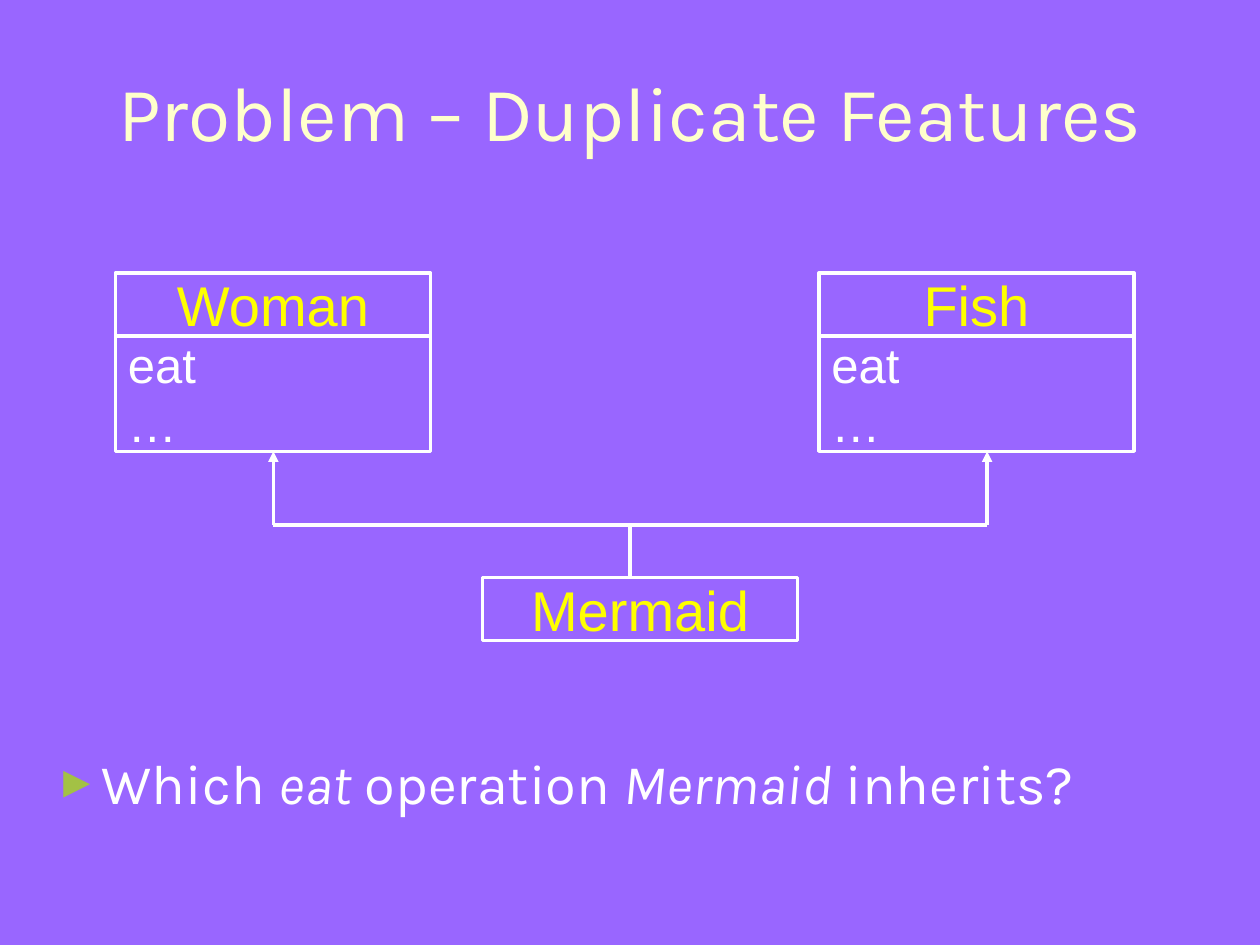
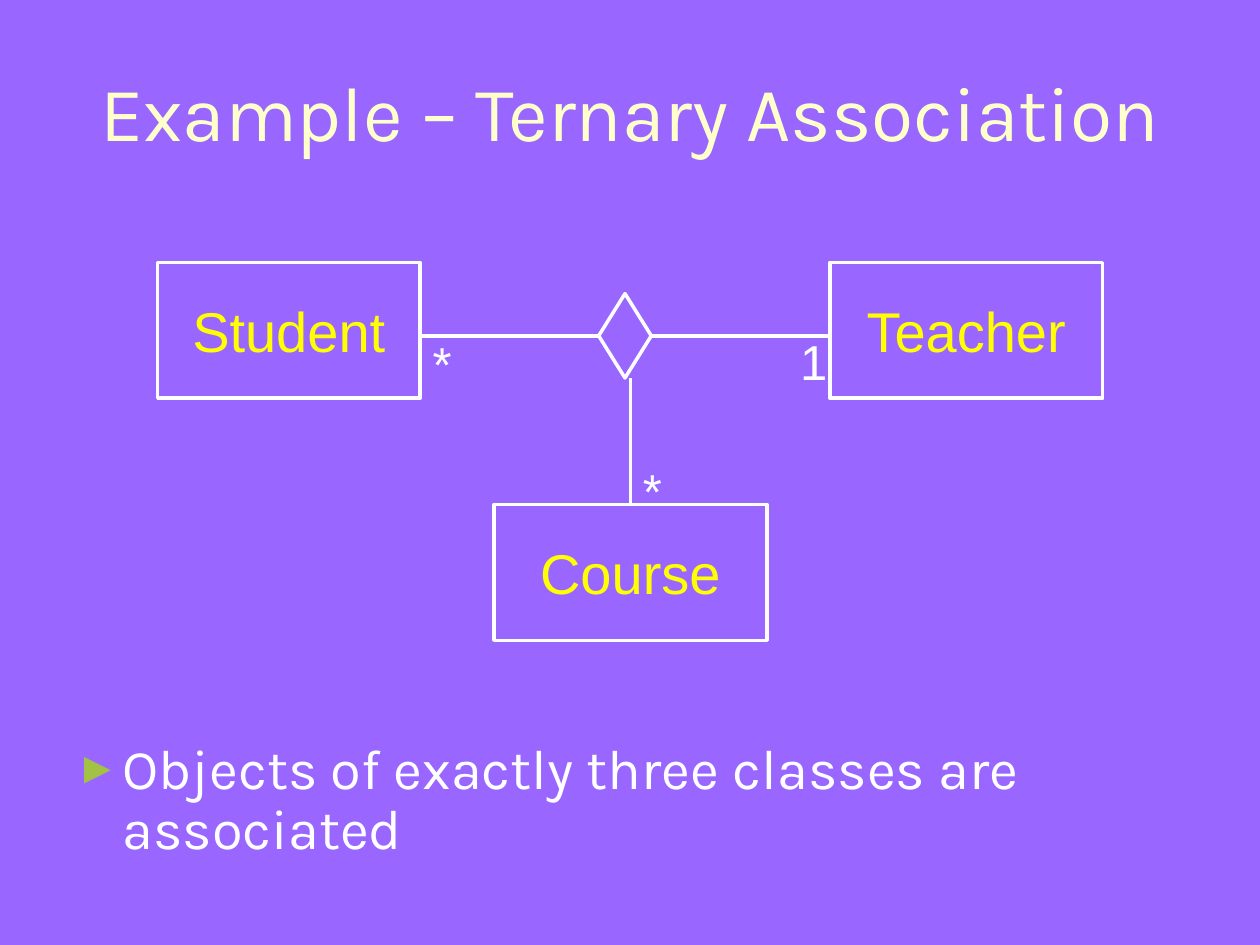
from lxml import etree
from pptx import Presentation
from pptx.dml.color import RGBColor
from pptx.enum.shapes import MSO_CONNECTOR, MSO_SHAPE
from pptx.enum.text import MSO_ANCHOR, MSO_AUTO_SIZE, PP_ALIGN
from pptx.oxml.ns import qn
from pptx.util import Cm, Pt

HUE = {"back": "9966FF", "title": "FFFFCC", "name": "FFFF00",
       "text": "FFFFFF", "line": "FFFFFF", "mark": "A3C145"}
HEAD, BODY = "Karla", "Arial"
TITLE_BOX = (0.85, 0.64, 23.72, 3.18)


def paint(hue):
    return RGBColor.from_string(HUE[hue])


def add_run(para, text, size, hue, font=BODY, slant=False):
    run = para.add_run()
    run.text = text
    run.font.name = font
    run.font.size = Pt(size)
    run.font.italic = slant
    run.font.color.rgb = paint(hue)


def add_frame(slide, box):
    frame = slide.shapes.add_textbox(*map(Cm, box)).text_frame
    frame.word_wrap = True
    return frame


def add_shape(slide, kind, box):
    shape = slide.shapes.add_shape(kind, *map(Cm, box))
    shape.shadow.inherit = False
    shape.fill.background()
    shape.line.color.rgb = paint("line")
    shape.line.width = Pt(2)
    return shape


def add_rect(slide, box, lines, size, hue, align):
    frame = add_shape(slide, MSO_SHAPE.RECTANGLE, box).text_frame
    frame.word_wrap = True
    frame.vertical_anchor = MSO_ANCHOR.MIDDLE
    for i, line in enumerate(lines):
        para = frame.add_paragraph() if i else frame.paragraphs[0]
        para.alignment = align
        add_run(para, line, size, hue)


def add_class(slide, box, name, parts=(), deep=0):
    """Name box, with an optional box of features below it."""
    left, top, wide, high = box
    add_rect(slide, box, [name], 32, "name", PP_ALIGN.CENTER)
    if parts:
        add_rect(slide, (left, top + high, wide, deep), parts, 28, "text",
                 PP_ALIGN.LEFT)


def add_line(slide, start, end, arrow=False):
    link = slide.shapes.add_connector(MSO_CONNECTOR.STRAIGHT,
                                      *map(Cm, start + end))
    link.line.color.rgb = paint("line")
    link.line.width = Pt(2)
    if arrow:
        etree.SubElement(link.line._get_or_add_ln(), qn("a:tailEnd"),
                         type="triangle")
    etree.SubElement(link._element.spPr, qn("a:effectLst"))


def add_title(slide, text):
    frame = add_frame(slide, TITLE_BOX)
    frame.vertical_anchor = MSO_ANCHOR.MIDDLE
    para = frame.paragraphs[0]
    para.alignment = PP_ALIGN.CENTER
    add_run(para, text, 44, "title", HEAD)


def add_point(slide, box, runs, pitch=1.0):
    """Bulleted line; each run is a text and whether it is italic."""
    para = add_frame(slide, box).paragraphs[0]
    para.space_before = Pt(8)
    para.line_spacing = pitch
    props = para._p.get_or_add_pPr()
    props.set("marL", str(Cm(0.95)))
    props.set("indent", str(-Cm(0.95)))
    tint = etree.SubElement(props, qn("a:buClr"))
    etree.SubElement(tint, qn("a:srgbClr"), val=HUE["mark"])
    etree.SubElement(props, qn("a:buSzPct"), val="80000")
    etree.SubElement(props, qn("a:buFont"), typeface=BODY)
    etree.SubElement(props, qn("a:buChar"), char="►")
    for text, slant in runs:
        add_run(para, text, 32, "text", HEAD, slant)


def add_count(slide, left, top, text):
    frame = add_frame(slide, (left, top, 1.07, 1.45))
    frame.auto_size = MSO_AUTO_SIZE.SHAPE_TO_FIT_TEXT
    para = frame.paragraphs[0]
    para.space_before = Pt(17.5)
    add_run(para, text, 28, "text")


def draw_tree(slide, box):
    """Two parent classes joined to one child."""
    left, top, wide, high = box
    size = (6.35, 1.27)
    deep = 2.33
    low = top + size[1] + deep
    bar = low + 1.48
    ends = (left + 3.18, left + 17.57)
    mid = sum(ends) / 2
    # Classes
    for x, name in ((left, "Woman"), (left + wide - size[0], "Fish")):
        add_class(slide, (x, top, *size), name, ("eat", "…"), deep)
    base = top + high - size[1]
    add_class(slide, (left + 7.4, base, *size), "Mermaid")
    # Links
    for x in ends:
        add_line(slide, (x, bar), (x, low), arrow=True)
    add_line(slide, (ends[0], bar), (ends[1], bar))
    add_line(slide, (mid, bar), (mid, base))


def draw_star(slide, box):
    """Three classes joined through a diamond."""
    left, top, wide, high = box
    tall, slim, broad = 2.74, 5.29, 5.5
    right = left + wide - broad
    base = top + high - tall
    row, stem = top + 1.48, left + 9.53
    gem = (left + 8.89, row - 0.85, 1.06, 1.7)
    # Classes
    add_class(slide, (left, top, slim, tall), "Student")
    add_class(slide, (right, top, broad, tall), "Teacher")
    add_class(slide, (stem - broad / 2, base, broad, tall), "Course")
    add_shape(slide, MSO_SHAPE.DIAMOND, gem)
    # Links
    add_line(slide, (left + slim, row), (gem[0], row))
    add_line(slide, (gem[0] + gem[2], row), (right, row))
    add_line(slide, (stem, gem[1] + gem[3]), (stem, base))
    # Counts
    add_count(slide, right - 0.85, row - 0.21, "1")
    add_count(slide, stem, base - 1.02, "*")
    add_count(slide, left + slim, row - 0.17, "*")


def main():
    deck = Presentation()
    deck.slide_width, deck.slide_height = Cm(25.4), Cm(19.05)
    fill = deck.slide_master.background.fill
    fill.solid()
    fill.fore_color.rgb = paint("back")
    blank = deck.slide_layouts[6]

    # Duplicate features
    slide = deck.slides.add_slide(blank)
    add_title(slide, "Problem – Duplicate Features")
    draw_tree(slide, (2.33, 5.5, 20.53, 7.41))
    add_point(slide, (0.85, 14.96, 23.72, 1.98),
              [("Which ", False), ("eat", True), (" operation ", False),
               ("Mermaid", True), (" inherits?", False)])

    # Ternary association
    slide = deck.slides.add_slide(blank)
    add_title(slide, "Example – Ternary Association")
    draw_star(slide, (3.18, 5.29, 19.05, 7.62))
    add_point(slide, (1.27, 14.81, 22.86, 2.74),
              [("Objects of exactly three classes are associated", False)], 0.9)

    deck.save("out.pptx")


if __name__ == "__main__":
    main()
